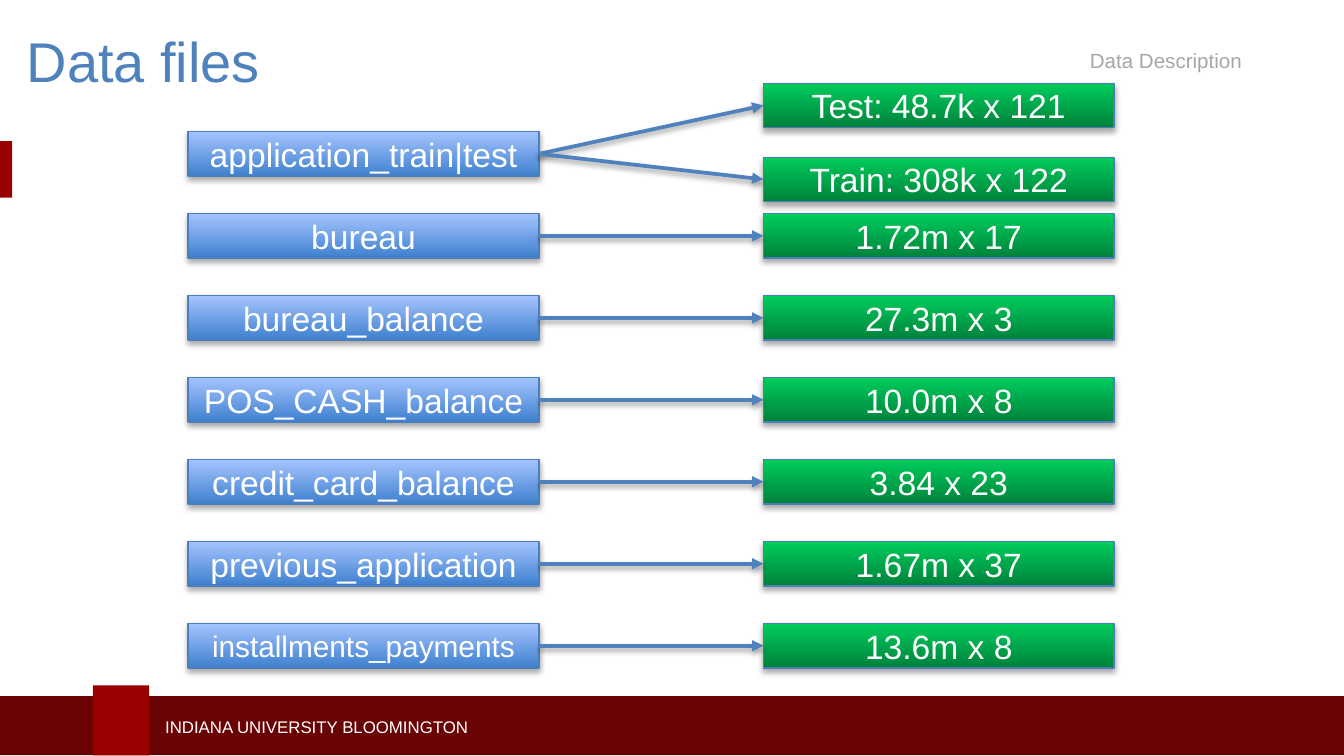
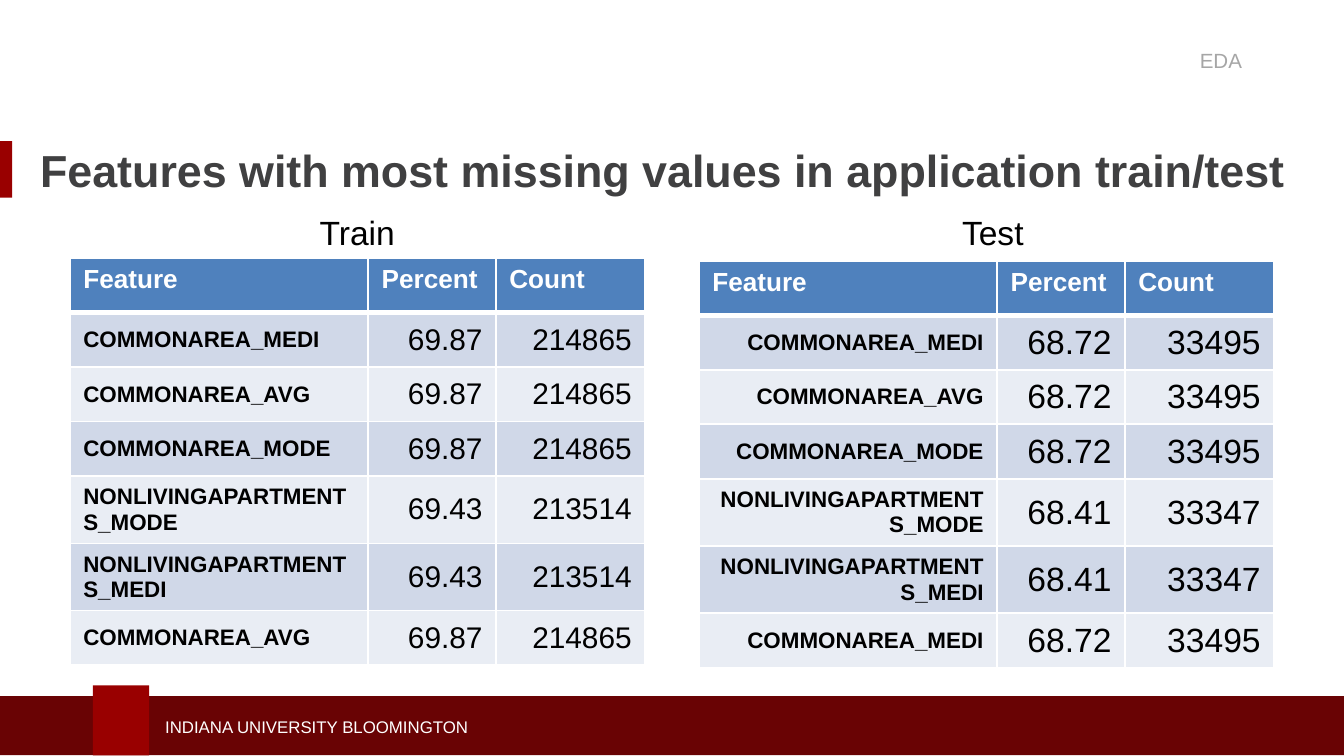
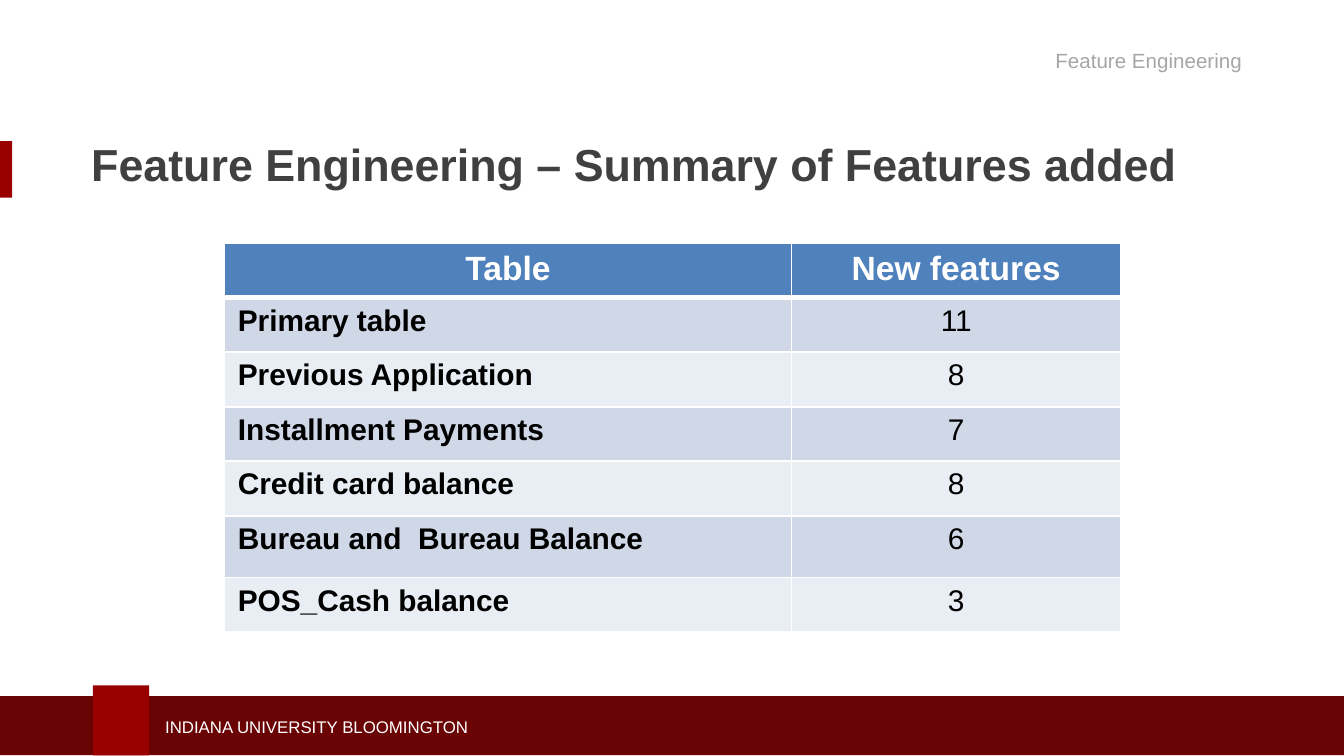
from dataclasses import dataclass

from lxml.etree import SubElement
from pptx import Presentation
from pptx.dml.color import RGBColor
from pptx.enum.shapes import MSO_CONNECTOR, MSO_SHAPE
from pptx.enum.text import MSO_ANCHOR, PP_ALIGN
from pptx.oxml.ns import qn
from pptx.util import Inches, Pt

LEFT, MID, RIGHT = PP_ALIGN.LEFT, PP_ALIGN.CENTER, PP_ALIGN.RIGHT


@dataclass(frozen=True)
class Theme:
    """Colours and type sizes of the deck."""
    font: str = "Arial"
    white: str = "FFFFFF"
    black: str = "000000"
    grey: str = "A6A6A6"
    dark: str = "404041"
    blue: str = "4F81BD"
    edge: str = "4B7EBC"
    crimson: str = "990000"
    maroon: str = "690304"
    bands: tuple = ("E9EDF4", "D0D8E8")
    files: tuple = ("3F80CE", "A4C4FF")
    sizes: tuple = ("00823B", "00CC5C")
    foot: int = 9
    topic: int = 11
    code: int = 12
    head: int = 14
    cell: int = 16
    body: int = 18
    title: int = 24
    large: int = 30


class Deck:
    """Holds the style and the current slide."""

    def __init__(self, theme):
        """Start an empty wide deck."""
        self.theme = theme
        self.show = Presentation()
        self.show.slide_width = Inches(10)
        self.show.slide_height = Inches(10) * 9 // 16

    def page(self, topic):
        """Add a slide with its bands, footer and topic."""
        t = self.theme
        self.slide = self.show.slides.add_slide(self.show.slide_layouts[6])
        self.band(0, 1.05, 0.09, 0.42, t.crimson)
        self.band(0, 5.18, 10, 0.44, t.maroon)
        self.band(0.69, 5.1, 0.42, 0.52, t.crimson)
        self.text("INDIANA UNIVERSITY BLOOMINGTON", 1.13, 5.28, 3.95, 0.25,
                  t.foot, t.white, anchor=MSO_ANCHOR.MIDDLE)
        self.text(topic, 5.29, 0.31, 4.05, 0.28, t.topic, t.grey, align=RIGHT)

    def style(self, frame, text, size, color, bold=False, align=LEFT):
        """Write one styled paragraph into a text frame."""
        frame.text = text
        para = frame.paragraphs[0]
        para.alignment = align
        font = para.font
        font.name, font.size, font.bold = self.theme.font, Pt(size), bold
        font.color.rgb = RGBColor.from_string(color)

    def text(self, text, x, y, w, h, size, color, bold=False, align=LEFT,
             anchor=MSO_ANCHOR.TOP, wrap=True):
        """Add a text box and return its frame."""
        frame = self.slide.shapes.add_textbox(
            Inches(x), Inches(y), Inches(w), Inches(h)).text_frame
        frame.word_wrap = wrap
        frame.vertical_anchor = anchor
        self.style(frame, text, size, color, bold, align)
        return frame

    def title(self, text, x, y, w, size, color, bold=True):
        """Add a slide title and return its frame."""
        return self.text(text, x, y, w, 0.76, size, color, bold,
                         anchor=MSO_ANCHOR.MIDDLE)

    def rect(self, x, y, w, h):
        """Add a bare rectangle."""
        shape = self.slide.shapes.add_shape(
            MSO_SHAPE.RECTANGLE, Inches(x), Inches(y), Inches(w), Inches(h))
        shape.shadow.inherit = False
        return shape

    def band(self, x, y, w, h, color):
        """Add a flat block of colour."""
        shape = self.rect(x, y, w, h)
        shape.fill.solid()
        shape.fill.fore_color.rgb = RGBColor.from_string(color)
        shape.line.fill.background()

    def shade(self, effects, alpha, drop):
        """Add a soft shadow that falls straight down."""
        outer = SubElement(effects, qn("a:outerShdw"), blurRad=str(Pt(3.1)),
                           dist=str(Pt(drop)), dir="5400000", rotWithShape="0")
        color = SubElement(outer, qn("a:srgbClr"), val=self.theme.black)
        SubElement(color, qn("a:alpha"), val=str(alpha * 1000))

    def box(self, text, x, y, ramp, size):
        """Add a labelled box with a vertical gradient."""
        shape = self.rect(x, y, 2.61, 0.33)
        shape.fill.gradient()
        shape.fill.gradient_angle = 90
        for stop, color in zip(shape.fill.gradient_stops, ramp):
            stop.color.rgb = RGBColor.from_string(color)
        shape.line.color.rgb = RGBColor.from_string(self.theme.edge)
        shape.line.width = Pt(0.75)
        self.shade(shape._element.spPr.find(qn("a:effectLst")), 35, 1.8)
        shape.text_frame.vertical_anchor = MSO_ANCHOR.MIDDLE
        self.style(shape.text_frame, text, size, self.theme.white, align=MID)
        return shape

    def arrow(self, start, end):
        """Join the right side of one box to the left side of another."""
        link = self.slide.shapes.add_connector(MSO_CONNECTOR.STRAIGHT, 0, 0, 0, 0)
        link.begin_connect(start, 3)
        link.end_connect(end, 1)
        link.line.color.rgb = RGBColor.from_string(self.theme.blue)
        link.line.width = Pt(2)
        props = link._element.spPr
        SubElement(props.find(qn("a:ln")), qn("a:tailEnd"), type="triangle")
        self.shade(SubElement(props, qn("a:effectLst")), 38, 1.6)

    def edges(self, cell, row):
        """Draw white cell borders, thick below the header."""
        props = cell._tc.get_or_add_tcPr()
        for side in "LRTB":
            thick = (row, side) in ((0, "B"), (1, "T"))
            line = SubElement(props, qn("a:ln" + side), w=str(Pt(3 if thick else 1)))
            fill = SubElement(line, qn("a:solidFill"))
            SubElement(fill, qn("a:srgbClr"), val=self.theme.white)

    def table(self, rows, x, y, widths, head, sizes, aligns, top=LEFT,
              anchor=MSO_ANCHOR.TOP):
        """Add a banded table with a bold header and first column."""
        t = self.theme
        grid = self.slide.shapes.add_table(
            len(rows), len(widths), Inches(x), Inches(y),
            Inches(sum(widths)), Inches(2.84)).table
        for col, width in zip(grid.columns, widths):
            col.width = Inches(width)
        for i, row in enumerate(rows):
            for j, text in enumerate(row):
                cell = grid.cell(i, j)
                self.edges(cell, i)
                cell.fill.solid()
                cell.fill.fore_color.rgb = RGBColor.from_string(
                    t.bands[i % 2] if i else t.blue)
                if i:
                    cell.vertical_anchor = anchor
                    self.style(cell.text_frame, text, sizes[j > 0], t.black,
                               j == 0, aligns[j > 0])
                else:
                    self.style(cell.text_frame, text, head, t.white, True, top)
        return grid


def files(deck):
    """Build the slide that maps data files to their sizes."""
    t = deck.theme
    deck.page("Data Description")
    deck.title("Data files", 0.1, 0.07, 8.06, t.large, t.blue, bold=False)
    pairs = [
        ("application_train|test", ("Test: 48.7k x 121", "Train: 308k x 122")),
        ("bureau", ("1.72m x 17",)),
        ("bureau_balance", ("27.3m x 3",)),
        ("POS_CASH_balance", ("10.0m x 8",)),
        ("credit_card_balance", ("3.84 x 23",)),
        ("previous_application", ("1.67m x 37",)),
        ("installments_payments", ("13.6m x 8",)),
    ]
    for i, (name, sizes) in enumerate(pairs):
        y = 0.98 + 0.61 * i
        size = t.cell if name == "installments_payments" else t.body
        source = deck.box(name, 1.4, y, t.files, size)
        tops = (0.62, 1.17) if len(sizes) == 2 else (y,)
        for label, top in zip(sizes, tops):
            deck.arrow(source, deck.box(label, 5.68, top, t.sizes, t.body))


def missing(deck):
    """Build the slide with the missing values of both sets."""
    t = deck.theme
    deck.page("EDA")
    frame = deck.title("Features with most missing values in application train/test",
                       0.2, 1.06, 9.52, t.title, t.dark)
    frame.vertical_anchor = MSO_ANCHOR.TOP
    frame.margin_top = 0
    names = ["COMMONAREA_MEDI", "COMMONAREA_AVG", "COMMONAREA_MODE",
             "NONLIVINGAPARTMENTS_MODE", "NONLIVINGAPARTMENTS_MEDI"]
    sets = [
        ("Train", 2.28, 0.77, 0.52, 1.92, t.cell, LEFT, "COMMONAREA_AVG",
         ("69.87", "214865"), ("69.43", "213514")),
        ("Test", 7.06, 0.66, 5.2, 1.94, t.body, RIGHT, "COMMONAREA_MEDI",
         ("68.72", "33495"), ("68.41", "33347")),
    ]
    for label, tx, tw, x, y, size, align, last, common, living in sets:
        deck.text(label, tx, 1.53, tw, 0.4, t.body, t.black, wrap=False)
        rows = [("Feature", "Percent", "Count")]
        rows += [(name, *(living if name.startswith("NON") else common))
                 for name in names + [last]]
        deck.table(rows, x, y, (2.22, 0.95, 1.11), t.head, (t.code, size),
                   (align, RIGHT), anchor=MSO_ANCHOR.MIDDLE)


def added(deck):
    """Build the slide that sums up the new features."""
    t = deck.theme
    deck.page("Feature Engineering")
    deck.title("Feature Engineering – Summary of Features added",
               0.58, 0.84, 8.75, t.title, t.dark)
    rows = [
        ("Table", "New features"),
        ("Primary table", "11"),
        ("Previous Application", "8"),
        ("Installment Payments", "7"),
        ("Credit card balance", "8"),
        ("Bureau and  Bureau Balance", "6"),
        ("POS_Cash balance", "3"),
    ]
    grid = deck.table(rows, 1.67, 1.81, (4.22, 2.45), t.body, (t.cell, t.cell),
                      (LEFT, MID), top=MID)
    grid.rows[5].height = Inches(0.46)


def main():
    """Build and save the deck."""
    deck = Deck(Theme())
    for build in (files, missing, added):
        build(deck)
    deck.show.save("out.pptx")


if __name__ == "__main__":
    main()
